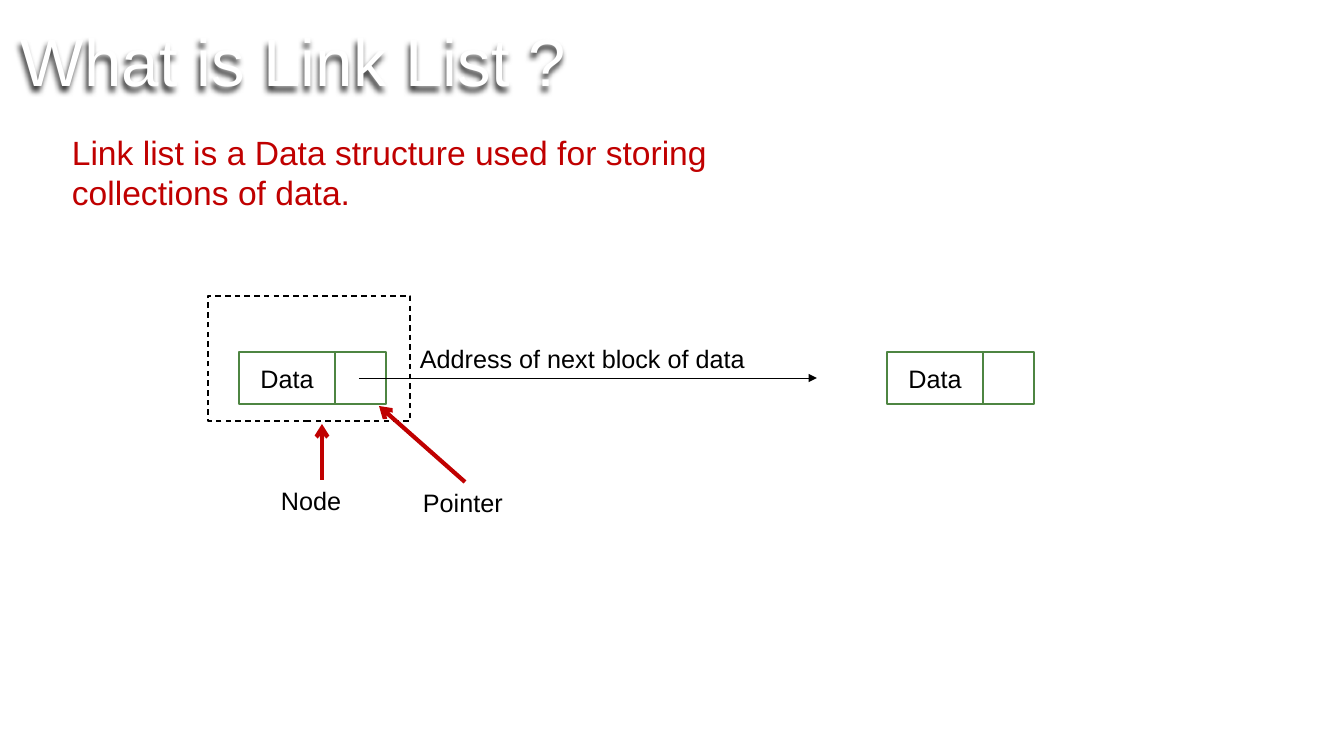
from lxml.etree import SubElement
from pptx import Presentation
from pptx.dml.color import RGBColor
from pptx.enum.dml import MSO_LINE
from pptx.enum.shapes import MSO_CONNECTOR, MSO_SHAPE
from pptx.enum.text import MSO_ANCHOR, PP_ALIGN
from pptx.oxml import parse_xml
from pptx.oxml.ns import nsdecls, qn
from pptx.util import Pt

PX = 914400 / 100.8
BLACK = RGBColor(0x00, 0x00, 0x00)
WHITE = RGBColor(0xFF, 0xFF, 0xFF)
RED = RGBColor(0xC0, 0x00, 0x00)
GREEN = RGBColor(0x4E, 0x85, 0x42)


def px(*lengths):
    return [round(length * PX) for length in lengths]


def write(shape, text, size=18, color=BLACK, align=PP_ALIGN.LEFT, anchor=MSO_ANCHOR.TOP):
    frame = shape.text_frame
    frame.word_wrap = True
    frame.vertical_anchor = anchor
    para = frame.paragraphs[0]
    para.alignment = align
    span = para.add_run()
    span.text = text
    for name, value in {"name": "Arial", "size": Pt(size)}.items():
        setattr(span.font, name, value)
    span.font.color.rgb = color
    return para


deck = Presentation()
deck.slide_width, deck.slide_height = px(1344, 756)
page = deck.slides.add_slide(deck.slide_layouts[6])
shapes = page.shapes

# Title with a soft shadow
title = shapes.add_textbox(*px(0, 23, 606, 68))
write(title, "What is Link List ? ", 48, WHITE, PP_ALIGN.CENTER).line_spacing = 0.9
title.element.spPr.append(parse_xml(
    f'<a:effectLst {nsdecls("a")}><a:outerShdw blurRad="50800" dist="50800" dir="7200000">'
    '<a:srgbClr val="000000"><a:alpha val="80000"/></a:srgbClr></a:outerShdw></a:effectLst>'))

# Two list nodes, each a data cell and a pointer cell
for node_left in (239, 887):
    for offset, width, text in ((0, 96, "Data"), (96, 51, "")):
        cell = shapes.add_shape(MSO_SHAPE.RECTANGLE, *px(node_left + offset, 352, width, 52))
        cell.shadow.inherit = False
        cell.fill.solid()
        cell.fill.fore_color.rgb = WHITE
        cell.line.color.rgb = GREEN
        cell.line.width = Pt(1)
        if text:
            write(cell, text, align=PP_ALIGN.CENTER, anchor=MSO_ANCHOR.MIDDLE)

# Dashed frame around the first node
frame = shapes.add_shape(MSO_SHAPE.RECTANGLE, *px(208, 296, 202, 125))
frame.shadow.inherit = False
frame.fill.background()
frame.line.color.rgb = BLACK
frame.line.width = Pt(1)
frame.line.dash_style = MSO_LINE.DASH

# Explanation and labels
for place, text, size, color in (
    ((62, 127, 724, 92), "Link list is a Data structure used for storing collections of data.", 24, RED),
    ((410, 338, 524, 40), "Address of next block of data", 18, BLACK),
    ((271, 480, 103, 40), "Node", 18, BLACK),
    ((413, 482, 103, 40), "Pointer", 18, BLACK),
):
    write(shapes.add_textbox(*px(*place)), text, size, color)

# Link to the next node, then the arrows from the labels
for ends, color, width, head in (
    ((359, 378, 817, 378), BLACK, 0.5, "triangle"),
    ((322, 480, 322, 424), RED, 3, "arrow"),
    ((465, 482, 379, 406), RED, 3, "arrow"),
):
    arrow = shapes.add_connector(MSO_CONNECTOR.STRAIGHT, *px(*ends))
    arrow.line.color.rgb = color
    arrow.line.width = Pt(width)
    SubElement(arrow.line._get_or_add_ln(), qn("a:tailEnd"), type=head)
    SubElement(arrow.element.spPr, qn("a:effectLst"))

deck.save("out.pptx")
